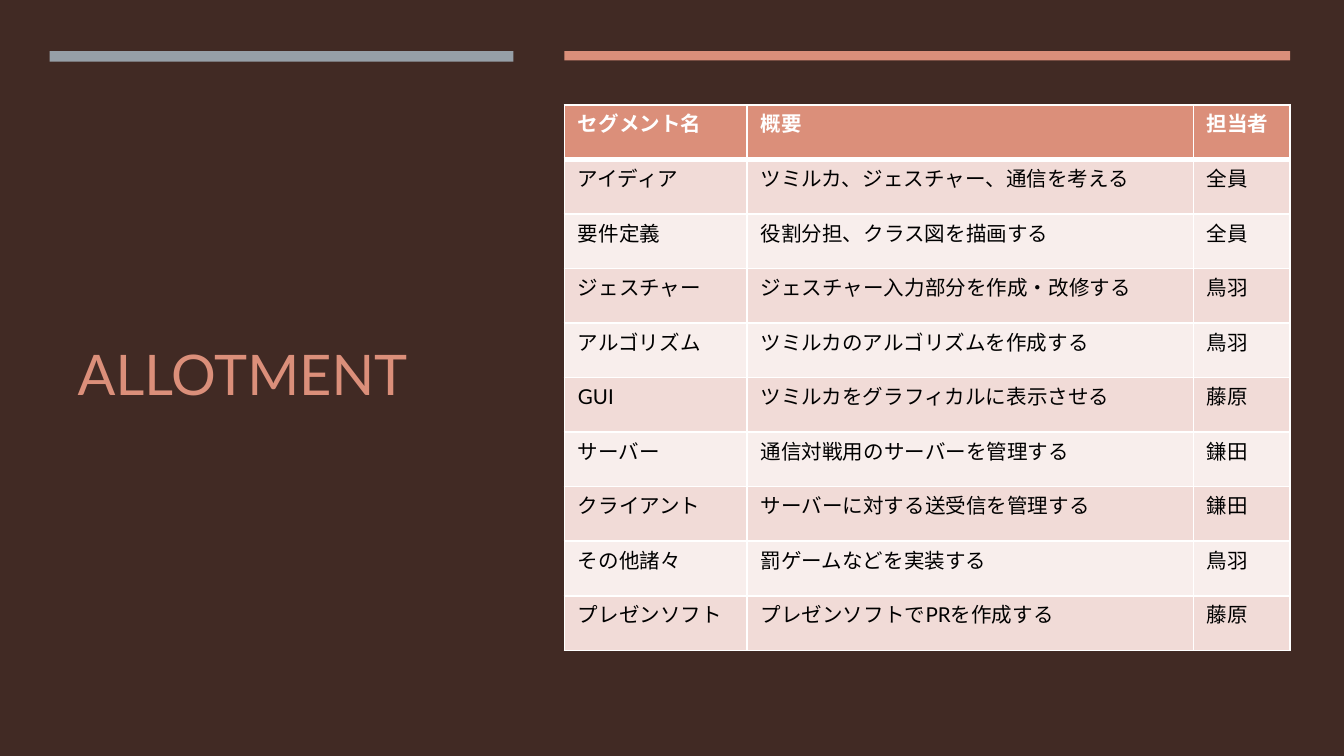
import pptx
import pptx.util
import pptx.dml.color
import pptx.enum.shapes
import pptx.enum.text
import pptx.oxml.ns
import lxml.etree

Inches, Pt = pptx.util.Inches, pptx.util.Pt
qn = pptx.oxml.ns.qn

# Content
TITLE = "ALLOTMENT"
ROWS = [
    ("セグメント名", "概要", "担当者"),
    ("アイディア", "ツミルカ、ジェスチャー、通信を考える", "全員"),
    ("要件定義", "役割分担、クラス図を描画する", "全員"),
    ("ジェスチャー", "ジェスチャー入力部分を作成・改修する", "鳥羽"),
    ("アルゴリズム", "ツミルカのアルゴリズムを作成する", "鳥羽"),
    ("GUI", "ツミルカをグラフィカルに表示させる", "藤原"),
    ("サーバー", "通信対戦用のサーバーを管理する", "鎌田"),
    ("クライアント", "サーバーに対する送受信を管理する", "鎌田"),
    ("その他諸々", "罰ゲームなどを実装する", "鳥羽"),
    ("プレゼンソフト", "プレゼンソフトでPRを作成する", "藤原"),
]
COLORS = {
    "ground": "412A24", "accent": "DB8F7A", "steel": "969FA7",
    "odd": "F1DBD7", "even": "F8EEEC", "white": "FFFFFF", "black": "000000",
}
FONT = "Lato"

# Layout in inches, on a 16:9 page
PAGE_WIDTH = 10
PAGE_HEIGHT = PAGE_WIDTH * 9 / 16
LEFT, RIGHT, RIGHT_WIDTH = 0.37, 4.2, 5.4
BAR_TOP = 0.38
BARS = [(LEFT, 3.45, 0.08, "steel"), (RIGHT, RIGHT_WIDTH, 0.07, "accent")]
TABLE_TOP, TABLE_HEIGHT = 0.78, 4.06
COLUMN_WIDTHS = (1.36, 3.32, 0.72)


def rgb(name):
    return pptx.dml.color.RGBColor.from_string(COLORS[name])


def style(span, size, color, bold=False):
    span.font.name = FONT
    span.font.size = Pt(size)
    span.font.bold = bold
    span.font.color.rgb = rgb(color)
    # East Asian text uses the same font
    lxml.etree.SubElement(span.font._element, qn("a:ea"), typeface=FONT)


def add_border(cell, side, points):
    line = lxml.etree.SubElement(cell._tc.get_or_add_tcPr(), qn("a:ln" + side),
                                 w=str(Pt(points)))
    fill = lxml.etree.SubElement(line, qn("a:solidFill"))
    lxml.etree.SubElement(fill, qn("a:srgbClr"), val=COLORS["white"])


deck = pptx.Presentation()
deck.slide_width, deck.slide_height = Inches(PAGE_WIDTH), Inches(PAGE_HEIGHT)
page = deck.slides.add_slide(deck.slide_layouts[6])
page.background.fill.solid()
page.background.fill.fore_color.rgb = rgb("ground")

# Accent bars
for left, width, height, color in BARS:
    bar = page.shapes.add_shape(pptx.enum.shapes.MSO_SHAPE.RECTANGLE, Inches(left),
                                Inches(BAR_TOP), Inches(width), Inches(height))
    bar.shadow.inherit = False
    bar.fill.solid()
    bar.fill.fore_color.rgb = rgb(color)
    bar.line.fill.background()

# Title
box = page.shapes.add_textbox(Inches(0.48), Inches(0.92), Inches(3.34), Inches(3.78))
box.text_frame.word_wrap = True
box.text_frame.vertical_anchor = pptx.enum.text.MSO_ANCHOR.MIDDLE
box.text_frame.text = TITLE
para = box.text_frame.paragraphs[0]
para.line_spacing = 0.9
style(para.runs[0], 30, "accent")

# Allotment table
table = page.shapes.add_table(len(ROWS), len(COLUMN_WIDTHS), Inches(RIGHT),
                              Inches(TABLE_TOP), Inches(RIGHT_WIDTH),
                              Inches(TABLE_HEIGHT)).table
for column, width in zip(table.columns, COLUMN_WIDTHS):
    column.width = Inches(width)
for r, texts in enumerate(ROWS):
    header = r == 0
    table.rows[r].height = Inches(TABLE_HEIGHT / len(ROWS))
    for c, text in enumerate(texts):
        cell = table.cell(r, c)
        for side in "LRTB":
            thick = (r, side) in ((0, "B"), (1, "T"))
            add_border(cell, side, 3 if thick else 1)
        cell.fill.solid()
        cell.fill.fore_color.rgb = rgb("accent" if header else "odd" if r % 2 else "even")
        cell.text_frame.text = text
        style(cell.text_frame.paragraphs[0].runs[0], 11,
              "white" if header else "black", header)

deck.save("out.pptx")
